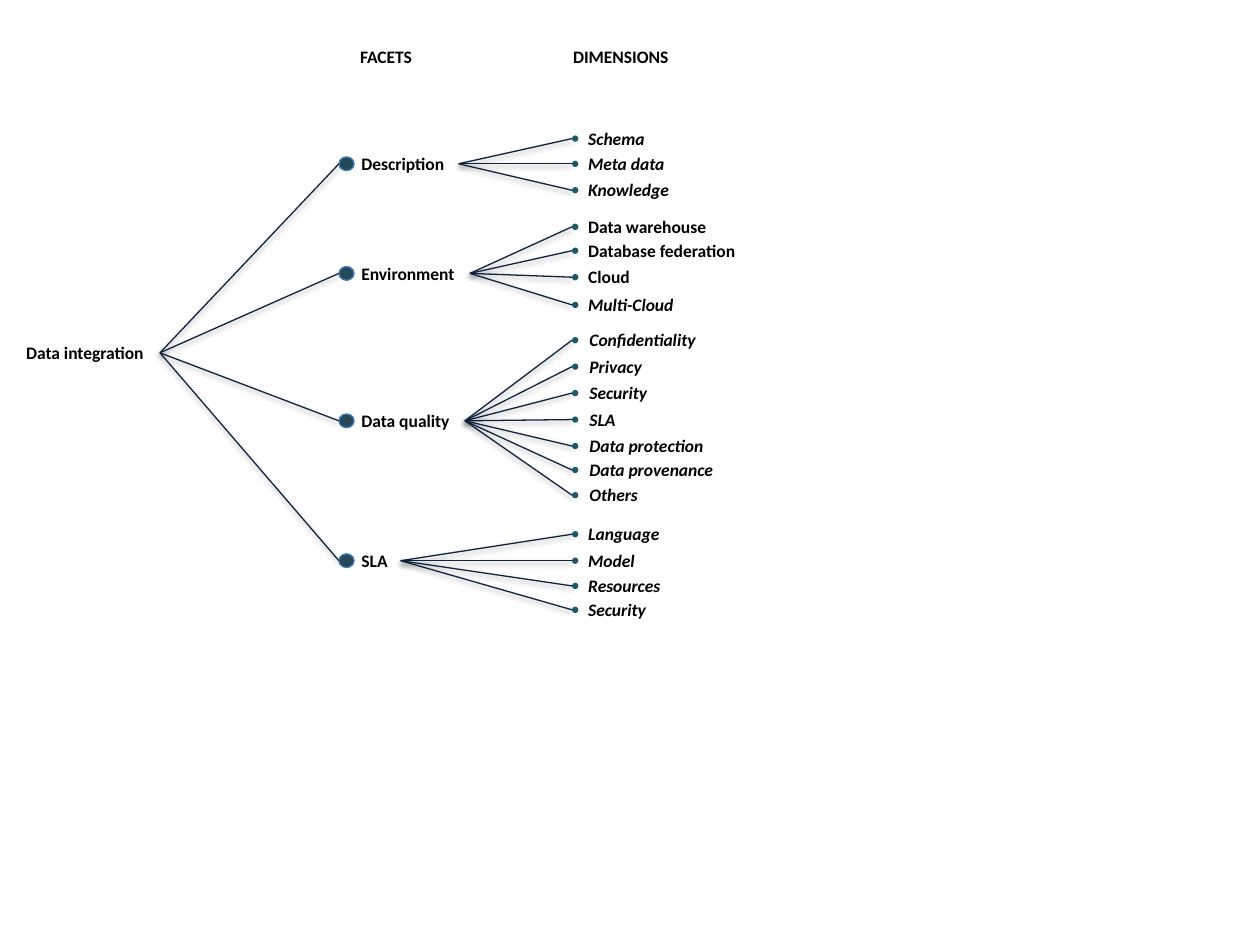
from lxml import etree
from pptx import Presentation
from pptx import util as u
from pptx.dml.color import RGBColor
from pptx.enum import shapes, text
from pptx.oxml.ns import qn

# Content: headings and root as (label, left, middle, width)
HEADINGS = [("FACETS", 2.76, 0.45, 0.63), ("DIMENSIONS", 4.45, 0.45, 0.97)]
ROOT = ("Data integration", 0.11, 2.8, 1.16)

# Facet: name, middle, width, dimension left, dimensions
# Dimension: name, middle, width, italic
FACETS = [
    ("Description", 1.3, 0.87, 4.57, [
        ("Schema", 1.1, 0.69, True),
        ("Meta data", 1.3, 0.85, True),
        ("Knowledge", 1.51, 0.89, True),
    ]),
    ("Environment", 2.17, 0.96, 4.57, [
        ("Data warehouse", 1.8, 1.16, False),
        ("Database federation", 1.99, 1.39, False),
        ("Cloud", 2.2, 0.54, False),
        ("Multi-Cloud", 2.42, 0.92, True),
    ]),
    ("Data quality", 3.34, 0.92, 4.58, [
        ("Confidentiality", 2.7, 1.09, True),
        ("Privacy", 2.91, 0.66, True),
        ("Security", 3.12, 0.7, True),
        ("SLA", 3.33, 0.45, True),
        ("Data protection", 3.54, 1.16, True),
        ("Data provenance", 3.73, 1.24, True),
        ("Others", 3.93, 0.63, True),
    ]),
    ("SLA", 4.45, 0.41, 4.57, [
        ("Language", 4.24, 0.81, True),
        ("Model", 4.45, 0.61, True),
        ("Resources", 4.65, 0.82, True),
        ("Security", 4.84, 0.7, True),
    ]),
]

THEME = {
    "font": {"name": "Calibri", "size": u.Pt(10), "bold": True},
    "text": "000000",
    "branch": "0F243E",
    "line": u.Pt(0.75),
    "facet_dot": {"size": (0.12, 0.11), "fill": "244A58", "edge": "4B7EBC"},
    "dimension_dot": {"size": (0.05, 0.05), "fill": "215968", "edge": None},
    "shadow": {"blurRad": "40000", "dist": "20000", "dir": "5400000", "rotWithShape": "0"},
    "shadow_alpha": "38000",
}
LABEL_HEIGHT = 0.27
FACET_LEFT, FACET_DOT_LEFT, DIMENSION_DOT_LEFT = 2.77, 2.69, 4.54


def color(value):
    return RGBColor.from_string(value)


def add_label(page, label, left, middle, width, italic=False):
    box = page.shapes.add_textbox(*map(u.Inches, (
        left, middle - LABEL_HEIGHT / 2, width, LABEL_HEIGHT)))
    frame = box.text_frame
    frame.word_wrap = False
    frame.auto_size = text.MSO_AUTO_SIZE.SHAPE_TO_FIT_TEXT
    span = frame.paragraphs[0].add_run()
    span.text = label
    for name, value in {**THEME["font"], "italic": italic}.items():
        setattr(span.font, name, value)
    span.font.color.rgb = color(THEME["text"])


def add_dot(page, left, middle, style):
    width, height = style["size"]
    dot = page.shapes.add_shape(shapes.MSO_SHAPE.OVAL, *map(u.Inches, (
        left, middle - height / 2, width, height)))
    dot.shadow.inherit = False
    dot.fill.solid()
    dot.fill.fore_color.rgb = color(style["fill"])
    if style["edge"]:
        dot.line.color.rgb = color(style["edge"])
        dot.line.width = THEME["line"]
    else:
        dot.line.fill.background()


def add_branch(page, start, end):
    branch = page.shapes.add_connector(
        shapes.MSO_CONNECTOR.STRAIGHT, *map(u.Inches, (*start, *end)))
    branch.line.color.rgb = color(THEME["branch"])
    branch.line.width = THEME["line"]
    # Soft shadow straight below the line
    effects = etree.SubElement(branch._element.spPr, qn("a:effectLst"))
    shadow = etree.SubElement(effects, qn("a:outerShdw"), THEME["shadow"])
    tint = etree.SubElement(shadow, qn("a:srgbClr"), val="000000")
    etree.SubElement(tint, qn("a:alpha"), val=THEME["shadow_alpha"])


def main():
    deck = Presentation()
    deck.slide_width, deck.slide_height = u.Inches(10), u.Inches(7.5)
    page = deck.slides.add_slide(deck.slide_layouts[6])

    # Headings and root
    for label in [*HEADINGS, ROOT]:
        add_label(page, *label)
    root_end = (ROOT[1] + ROOT[3], ROOT[2])

    # Each facet with its fan of dimensions
    for facet, middle, width, dimension_left, dimensions in FACETS:
        add_label(page, facet, FACET_LEFT, middle, width)
        add_dot(page, FACET_DOT_LEFT, middle, THEME["facet_dot"])
        add_branch(page, root_end, (FACET_DOT_LEFT, middle))
        for name, level, name_width, italic in dimensions:
            add_label(page, name, dimension_left, level, name_width, italic)
            add_dot(page, DIMENSION_DOT_LEFT, level, THEME["dimension_dot"])
            add_branch(page, (FACET_LEFT + width, middle), (DIMENSION_DOT_LEFT, level))

    deck.save("out.pptx")


if __name__ == "__main__":
    main()
